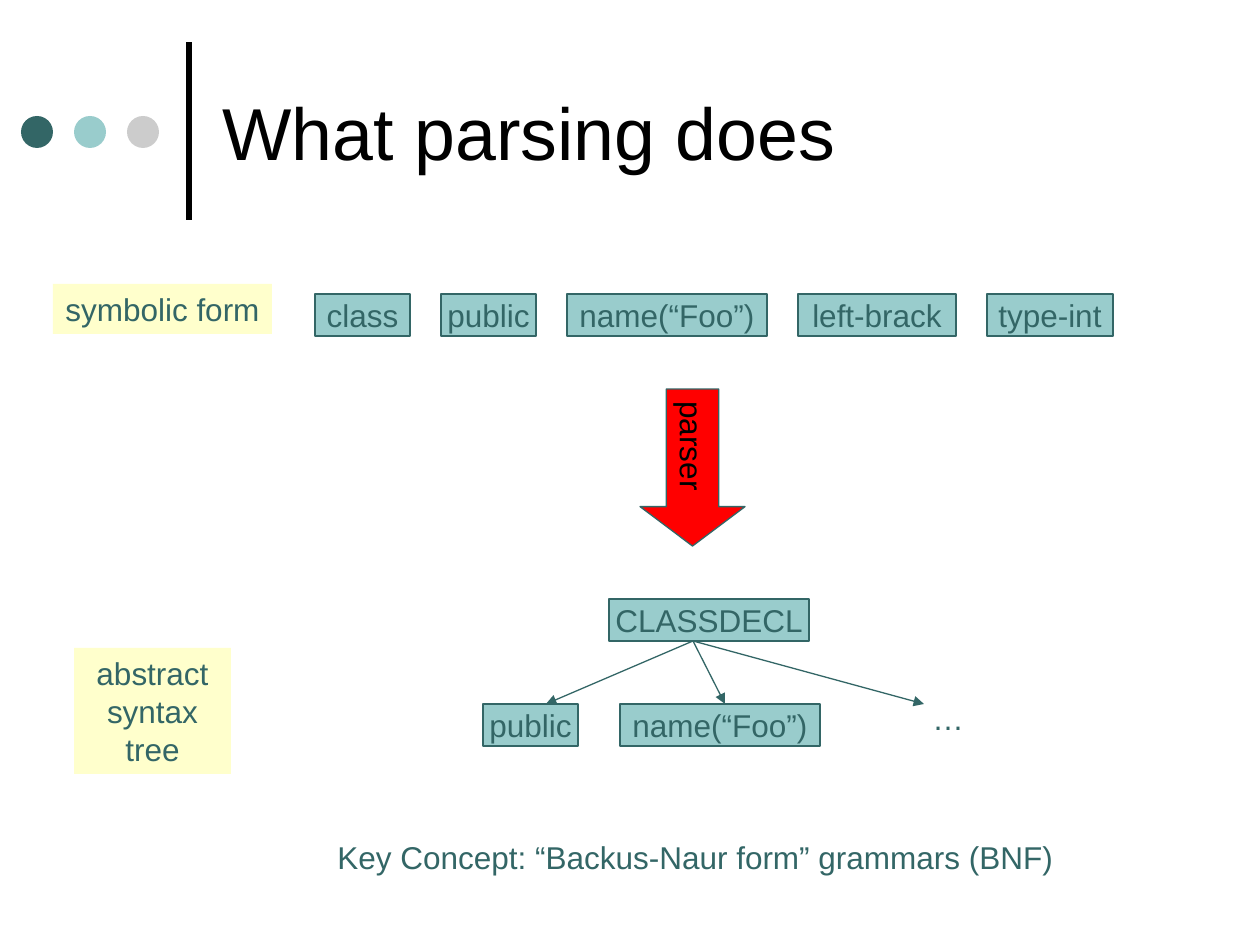
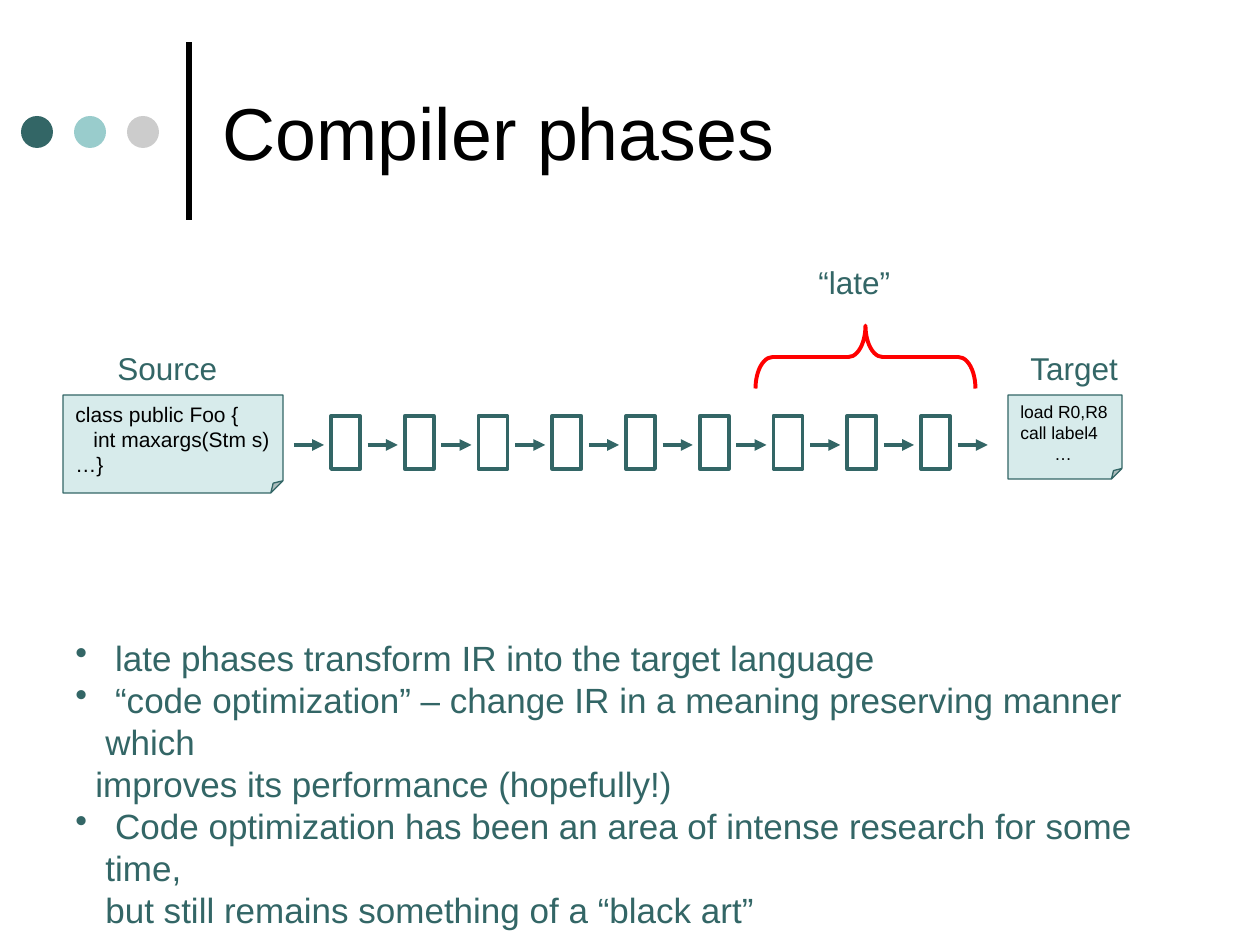
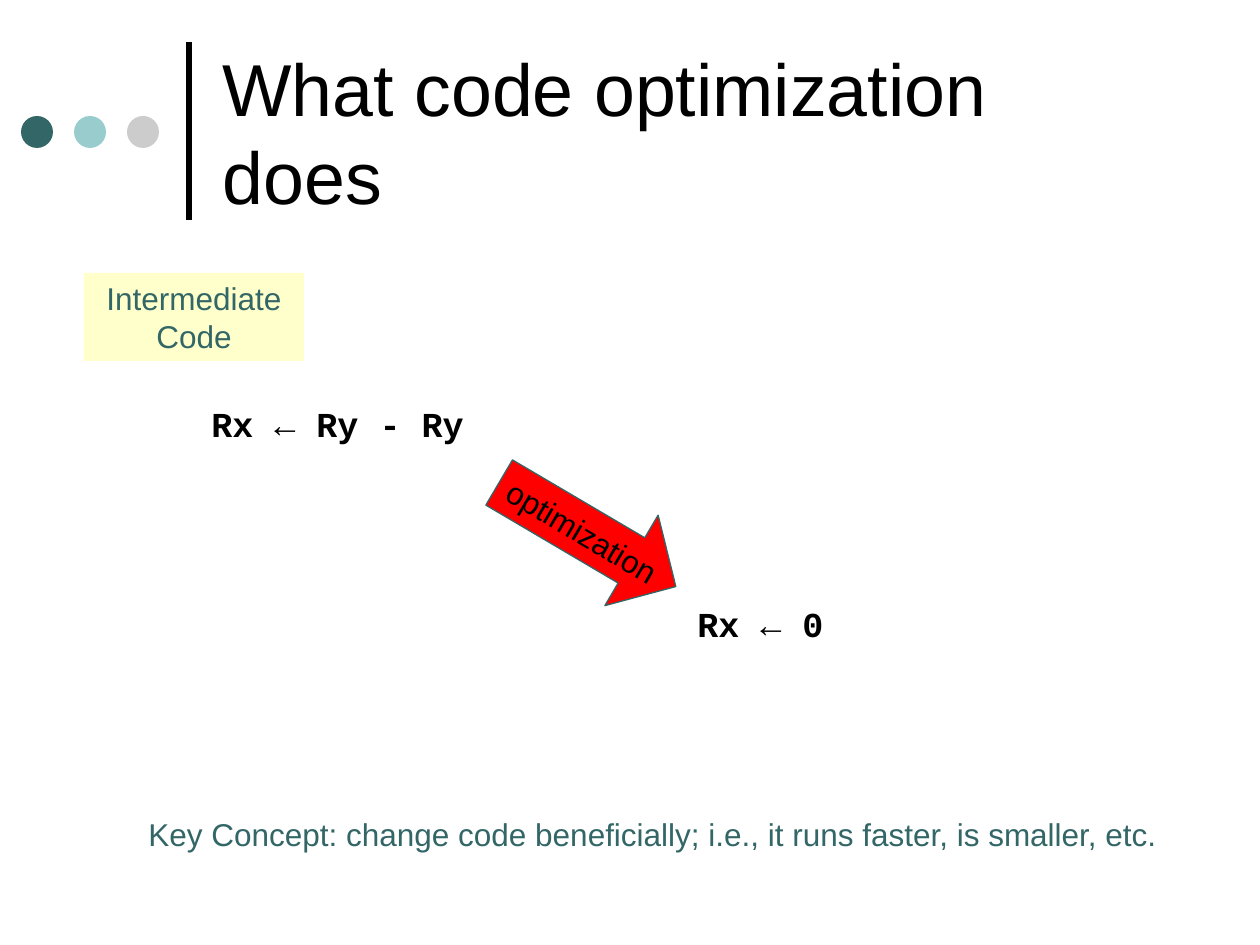
from lxml.etree import Element, SubElement
from pptx import Presentation
from pptx.dml.color import RGBColor
from pptx.enum.shapes import MSO_CONNECTOR as Wire, MSO_SHAPE as Form
from pptx.enum.text import MSO_ANCHOR as Anchor, MSO_AUTO_SIZE as Auto, PP_ALIGN as Align
from pptx.oxml.ns import qn
from pptx.util import Pt

PX = 914400 / 126
HEX = {
    "teal": "336666", "aqua": "99CCCC", "gray": "CCCCCC", "pale": "D7EBEB",
    "cream": "FFFFCC", "red": "FF0000", "black": "000000", "white": "FFFFFF",
}
RGB = {name: RGBColor.from_string(code) for name, code in HEX.items()}


def put(page, form, place, text="", fill=None, line=None, width=0.75, size=18,
        color="teal", font="Arial", bold=False, align=Align.LEFT,
        anchor=Anchor.TOP, wrap=False, vert=None):
    """Add a preset shape, or a text box when form is None."""
    place = [round(n * PX) for n in place]
    if form is None:
        item = page.shapes.add_textbox(*place)
    else:
        item = page.shapes.add_shape(form, *place)
        item.shadow.inherit = False
    if fill:
        item.fill.solid()
        item.fill.fore_color.rgb = RGB[fill]
    else:
        item.fill.background()
    if line:
        item.line.color.rgb = RGB[line]
        item.line.width = Pt(width)
    else:
        item.line.fill.background()
    frame = item.text_frame
    frame.text = text
    frame.word_wrap = wrap
    frame.vertical_anchor = anchor
    if vert:
        item.element.find(".//" + qn("a:bodyPr")).set("vert", vert)
    for para in frame.paragraphs:
        para.alignment = align
        para.font.name = font
        para.font.size = Pt(size)
        para.font.bold = bold
        para.font.color.rgb = RGB[color]
    return item


def join(page, ends, color="teal", width=0.75, head=True):
    """Add a straight line, with an arrowhead at its end if wanted."""
    wire = page.shapes.add_connector(Wire.STRAIGHT, *[round(n * PX) for n in ends])
    wire.line.color.rgb = RGB[color]
    wire.line.width = Pt(width)
    props = wire.element.spPr
    if head:
        SubElement(props.find(qn("a:ln")), qn("a:tailEnd"), type="triangle")
    SubElement(props, qn("a:effectLst"))
    return wire


deck = Presentation()
deck.slide_width = round(1260 * PX)
deck.slide_height = round(945 * PX)
base = deck.slide_layouts[5]

# Slides and their titles
pages = []
for name in ("What parsing does", "Compiler phases", "What code optimization does"):
    page = deck.slides.add_slide(base)
    title = page.shapes.title
    title.left, title.top, title.width, title.height = [
        round(n * PX) for n in (210, 26, 966, 210)]
    frame = title.text_frame
    frame.text = name
    frame.auto_size = Auto.NONE
    frame.word_wrap = True
    frame.vertical_anchor = Anchor.MIDDLE
    para = frame.paragraphs[0]
    para.alignment = Align.LEFT
    para.font.name = "Arial"
    para.font.size = Pt(42)
    para.font.color.rgb = RGB["black"]
    pages.append(page)
parse, phase, tune = pages

# Bar and dots, moved to the layout so that all slides share them
marks = [join(parse, (189, 220, 189, 42), "black", 3, head=False)]
for i, color in enumerate(("teal", "aqua", "gray")):
    marks.append(put(parse, Form.OVAL, (21 + 53 * i, 116, 32, 32), fill=color))
for mark in marks:
    base.shapes.element.append(mark.element)

# Slide 1: tokens and tree nodes
for x, y, wide, text in (
    (315, 294, 95, "class"), (441, 294, 95, "public"), (567, 294, 200, "name(“Foo”)"),
    (798, 294, 158, "left-brack"), (987, 294, 126, "type-int"),
    (609, 599, 200, "CLASSDECL"), (483, 704, 95, "public"), (620, 704, 200, "name(“Foo”)"),
):
    put(parse, Form.RECTANGLE, (x, y, wide, 42), text, "aqua", "teal",
        align=Align.CENTER, anchor=Anchor.MIDDLE)
for x in (546, 725, 924):
    join(parse, (693, 641, x, 704))
put(parse, None, (920, 693, 57, 50), "…")

# Slide 1: parser arrow and labels
arrow = put(parse, Form.DOWN_ARROW, (640, 389, 105, 157), "parser", "red", "teal",
            color="black", align=Align.CENTER, anchor=Anchor.MIDDLE, vert="eaVert")
arrow.adjustments[1] = 0.375
put(parse, Form.RECTANGLE, (53, 284, 219, 50), "symbolic form", "cream")
put(parse, Form.RECTANGLE, (74, 648, 157, 126), "abstract\nsyntax\ntree", "cream",
    align=Align.CENTER, wrap=True)
put(parse, None, (325, 832, 741, 50), "Key Concept: “Backus-Naur form” grammars (BNF)")

# Slide 2: chain of phases
count = 9
pitch = 590 / (count - 1)
for i in range(count):
    put(phase, Form.RECTANGLE, (331 + pitch * i, 416, 29, 53),
        fill="white", line="teal", width=2.25)
for i in range(count + 1):
    x = 294 + pitch * i
    join(phase, (x, 445, x + 30, 445), width=2.25)

# Slide 2: source, target and brace
put(phase, None, (105, 343, 125, 50), "Source")
put(phase, None, (1018, 343, 116, 50), "Target")
for place, text, size, pads in (
    ((63, 395, 220, 98), "class public Foo {\nint maxargs(Stm s)\n…}", 12, (0, 18, 0)),
    ((1008, 395, 114, 84), "load R0,R8\ncall label4\n…", 10, (0, 0, 34)),
):
    note = put(phase, Form.FOLDED_CORNER, place, text, "pale", "teal",
               size=size, color="black")
    fold = note.element.find(".//" + qn("a:avLst"))
    SubElement(fold, qn("a:gd"), name="adj", fmla="val 12500")
    for props, pad in zip(note.element.iter(qn("a:pPr")), pads):
        props.set("marL", str(round(pad * PX)))
brace = put(phase, Form.RIGHT_BRACE, (834, 247, 63, 220), line="red", width=2.25)
brace.rotation = 270
brace.adjustments[0] = 0.271
put(phase, None, (806, 257, 97, 50), "“late”")

# Slide 2: points, each with its left margin and whether it has a bullet
points = (
    (" late phases transform IR into the target language", 30, True),
    (" “code optimization” – change IR in a meaning preserving manner which", 30, True),
    ("improves its performance (hopefully!)", 20, False),
    (" Code optimization has been an area of intense research for some time,", 30, True),
    ("but still remains something of a “black art”", 30, False),
)
notes = put(phase, None, (63, 630, 1158, 223), "\n".join(p[0] for p in points),
            size=20, wrap=True)
for props, (text, pad, dot) in zip(notes.element.iter(qn("a:pPr")), points):
    props.set("marL", str(round(pad * PX)))
    if dot:
        props.set("indent", str(-round(pad * PX)))
        props.insert(0, Element(qn("a:buChar"), char="•"))

# Slide 3: code before and after
arrow = put(tune, Form.DOWN_ARROW, (535, 432, 105, 205), "optimization", "red", "teal",
            color="black", align=Align.CENTER, anchor=Anchor.MIDDLE, vert="eaVert")
arrow.rotation = 300.5
arrow.adjustments[1] = 0.49
put(tune, Form.RECTANGLE, (84, 273, 220, 88), "Intermediate\nCode", "cream",
    align=Align.CENTER, wrap=True)
put(tune, None, (136, 809, 1037, 50),
    "Key Concept: change code beneficially; i.e., it runs faster, is smaller, etc.")
for place, text in (((199, 396, 291, 54), "Rx ← Ry - Ry"), ((685, 596, 165, 54), "Rx ← 0")):
    put(tune, None, place, text, size=20, color="black", font="Courier New", bold=True)

deck.save("out.pptx")
